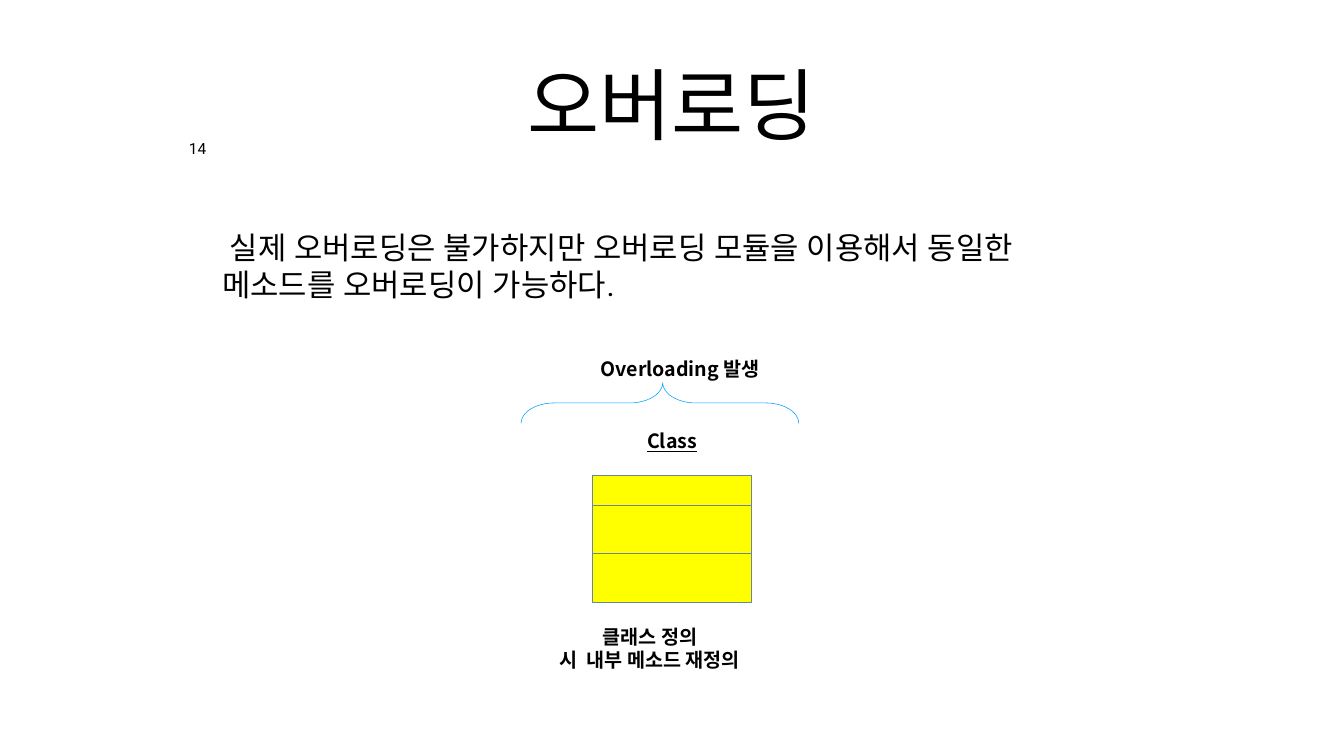
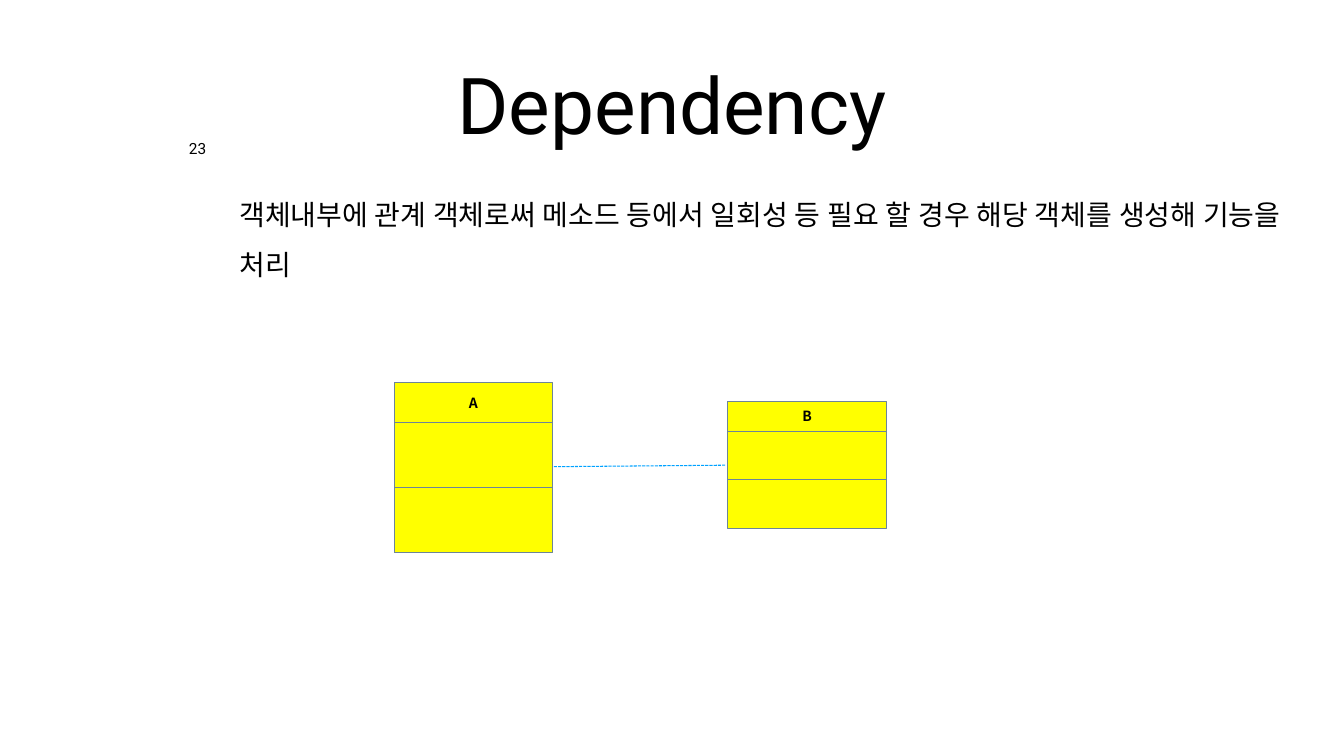
"""Builds two slides on overloading and dependency between classes."""
from dataclasses import dataclass

from lxml import etree
from pptx import Presentation
from pptx.dml.color import RGBColor
from pptx.enum.dml import MSO_LINE
from pptx.enum.shapes import MSO_CONNECTOR, MSO_SHAPE
from pptx.enum.text import MSO_ANCHOR, MSO_AUTO_SIZE, PP_ALIGN
from pptx.oxml.ns import qn
from pptx.util import Inches, Pt

CENTER, LEFT = PP_ALIGN.CENTER, PP_ALIGN.LEFT
TOP, MIDDLE = MSO_ANCHOR.TOP, MSO_ANCHOR.MIDDLE
GROW = MSO_AUTO_SIZE.SHAPE_TO_FIT_TEXT
RECTANGLE, BRACE = MSO_SHAPE.RECTANGLE, MSO_SHAPE.LEFT_BRACE
STRAIGHT, DASHED = MSO_CONNECTOR.STRAIGHT, MSO_LINE.SQUARE_DOT


@dataclass(frozen=True)
class Theme:
    """Colours, fonts and type sizes shared by the slides."""
    ink: RGBColor = RGBColor(0, 0, 0)
    class_fill: RGBColor = RGBColor(0xFF, 0xFF, 0x00)
    class_line: RGBColor = RGBColor(0x6C, 0x85, 0x99)
    accent: RGBColor = RGBColor(0x00, 0xA2, 0xFF)
    text_font: str = "Roboto"
    label_font: str = "Noto Sans CJK KR"
    title_size: int = 112
    number_size: int = 22
    label_size: int = 28
    name_size: int = 20
    class_width: float = 3.15


THEME = Theme()


def add_text(shapes, area, lines, size, font=THEME.text_font, bold=False,
             underline=None, align=CENTER, anchor=TOP, insets=(0.08, 0.08),
             wrap=True, line_spacing=None, space_before=None):
    """Add a text box with one paragraph for each line."""
    box = shapes.add_textbox(*map(Inches, area))
    frame = box.text_frame
    frame.word_wrap = wrap
    if not wrap:
        frame.auto_size = GROW
    frame.vertical_anchor = anchor
    frame.margin_left = frame.margin_right = Inches(insets[0])
    frame.margin_top = frame.margin_bottom = Inches(insets[1])
    for index, line in enumerate(lines):
        para = frame.paragraphs[0] if index == 0 else frame.add_paragraph()
        para.alignment = align
        if line_spacing is not None:
            para.line_spacing = line_spacing
        if space_before is not None:
            para.space_before = Pt(space_before)
        span = para.add_run()
        span.text = line
        span.font.name = font
        span.font.size = Pt(size)
        span.font.bold = bold
        span.font.underline = underline
        span.font.color.rgb = THEME.ink
        east_asian = etree.Element(qn("a:ea"), typeface=font)
        span.font._element.find(qn("a:latin")).addnext(east_asian)


def add_page(deck, title, number):
    """Add a blank slide with its title and page number."""
    page = deck.slides.add_slide(deck.slide_layouts[6])
    add_text(page.shapes, (4.8, 0.39, 17.07, 3.32), [title],
             THEME.title_size, anchor=MIDDLE)
    add_text(page.shapes, (3.67, 2.75, 0.5, 0.45), [str(number)],
             THEME.number_size, insets=(0.05, 0.08), wrap=False,
             line_spacing=0.8)
    return page


def add_body(page, area, text, size, anchor=TOP, line_spacing=None):
    """Add the explanatory paragraph."""
    add_text(page.shapes, area, [text], size, align=LEFT, anchor=anchor,
             line_spacing=line_spacing, space_before=59)


def add_label(page, area, lines, underline=None):
    """Add a bold diagram label."""
    add_text(page.shapes, area, lines, THEME.label_size, THEME.label_font,
             bold=True, underline=underline, insets=(0.1, 0.05))


def add_class(page, left, top, name_height, section_height, name=None):
    """Add a grouped class diagram: a name row and two equal sections."""
    shapes = page.shapes.add_group_shape().shapes
    row_top = top
    for height in (name_height, section_height, section_height):
        row = shapes.add_shape(RECTANGLE, Inches(left), Inches(row_top),
                               Inches(THEME.class_width), Inches(height))
        row.shadow.inherit = False
        row.fill.solid()
        row.fill.fore_color.rgb = THEME.class_fill
        row.line.color.rgb = THEME.class_line
        row.line.width = Pt(1.5)
        row_top += height
    if name:
        label_height = 0.54
        label_top = top + (name_height - label_height) / 2
        add_text(shapes, (left, label_top, THEME.class_width, label_height),
                 [name], THEME.name_size, THEME.label_font, bold=True,
                 anchor=MIDDLE, insets=(0.1, 0.1))


def add_brace(page, area):
    """Add a brace that opens downward."""
    brace = page.shapes.add_shape(BRACE, *map(Inches, area))
    brace.rotation = 90
    brace.adjustments[0] = 0.81
    brace.adjustments[1] = 0.49
    brace.shadow.inherit = False
    brace.fill.background()
    brace.line.color.rgb = THEME.accent
    brace.line.width = Pt(0.79)


def add_dependency(page, start, end):
    """Add a dashed line between two classes."""
    link = page.shapes.add_connector(STRAIGHT, *map(Inches, start + end))
    link.line.color.rgb = THEME.accent
    link.line.width = Pt(1.5)
    link.line.dash_style = DASHED
    etree.SubElement(link._element.spPr, qn("a:effectLst"))


def build_overloading(deck):
    """Build the overloading slide."""
    page = add_page(deck, "오버로딩", 14)
    add_body(page, (4.33, 3.66, 18, 3.21),
             " 실제 오버로딩은 불가하지만 오버로딩 모듈을 이용해서 동일한 "
             "메소드를 오버로딩이 가능하다.", 44, anchor=MIDDLE)
    add_class(page, 11.76, 9.43, 0.6, 0.96)
    add_label(page, (11.76, 8.47, THEME.class_width, 0.57), ["Class"],
              underline=True)
    add_label(page, (10.34, 12.34, 5.2, 1.04),
              ["클래스 정의 ", "시  내부 메소드 재정의 "])
    add_brace(page, (12.69, 5.24, 0.81, 5.51))
    add_label(page, (11.29, 7.03, 4.41, 0.57), ["Overloading 발생"])


def build_dependency(deck):
    """Build the dependency slide."""
    page = add_page(deck, "Dependency", 23)
    add_body(page, (4.67, 3.5, 20.99, 3.69),
             "객체내부에 관계 객체로써 메소드 등에서 일회성 등 필요 할 경우 "
             "해당 객체를 생성해 기능을 처리", 40, line_spacing=1.5)
    add_class(page, 7.82, 7.58, 0.81, 1.29, "A")
    add_class(page, 14.44, 7.96, 0.6, 0.96, "B")
    add_dependency(page, (10.99, 9.26), (14.41, 9.23))


def main():
    """Build and save the deck."""
    deck = Presentation()
    deck.slide_width, deck.slide_height = Inches(26.67), Inches(15)
    build_overloading(deck)
    build_dependency(deck)
    deck.save("out.pptx")


if __name__ == "__main__":
    main()
